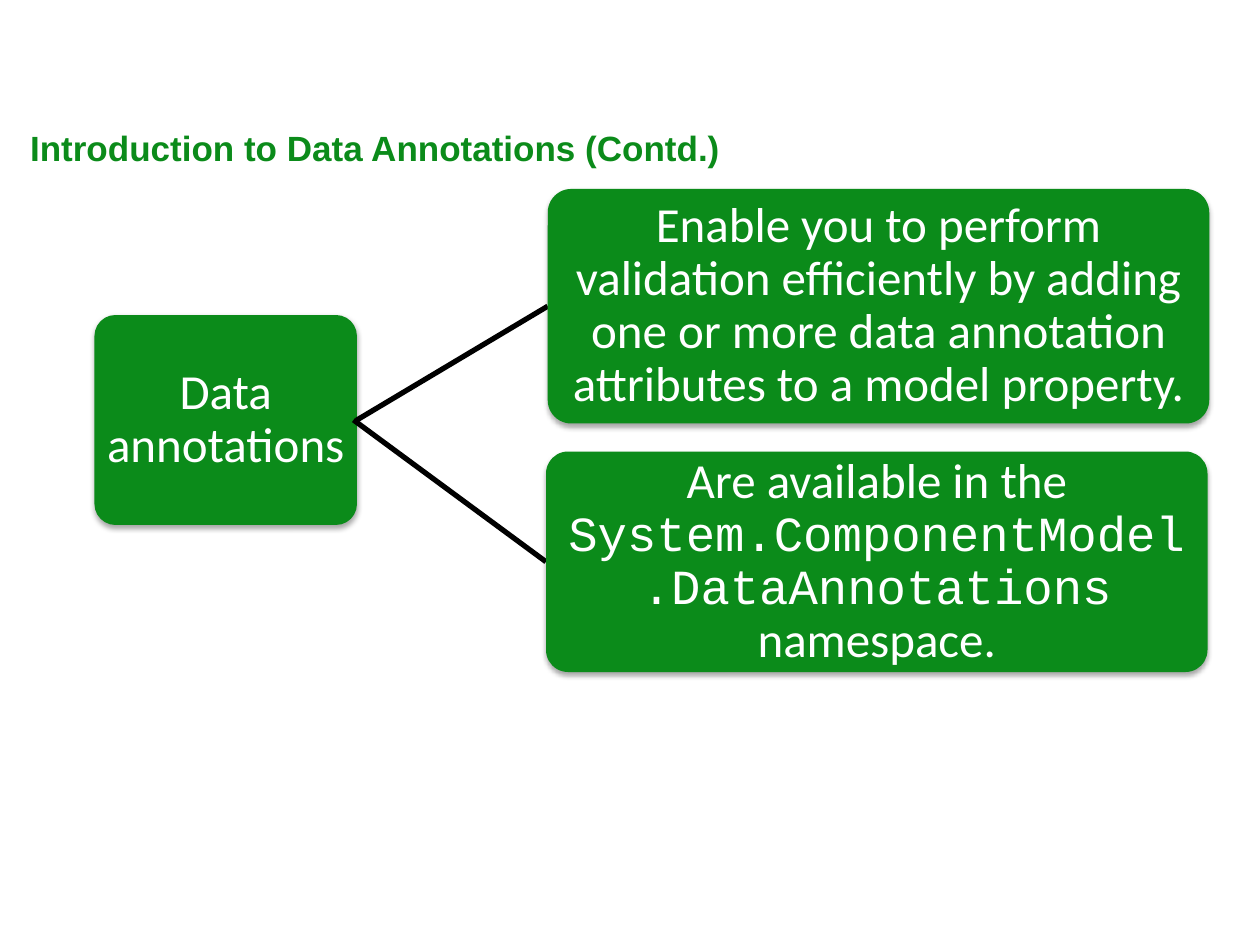
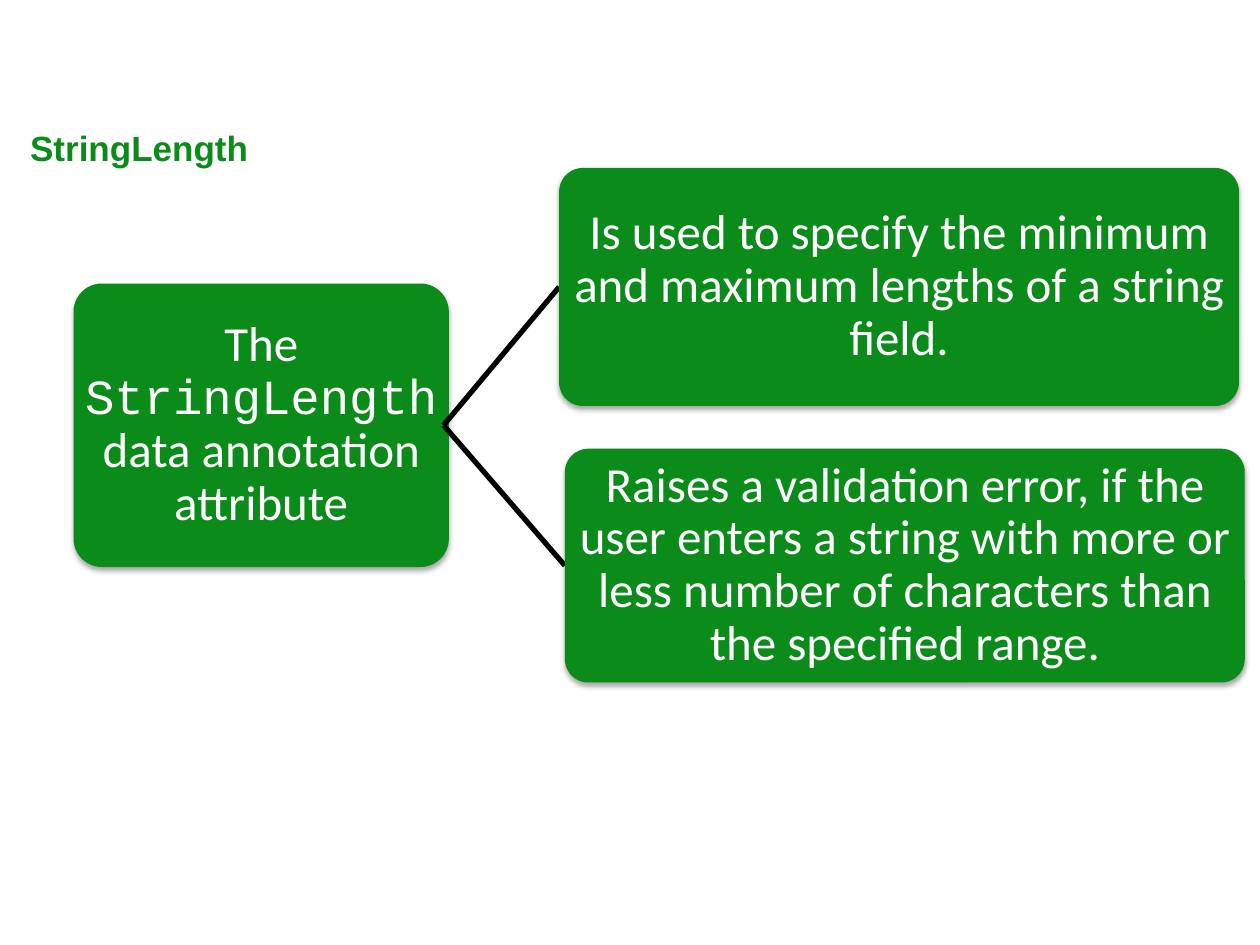
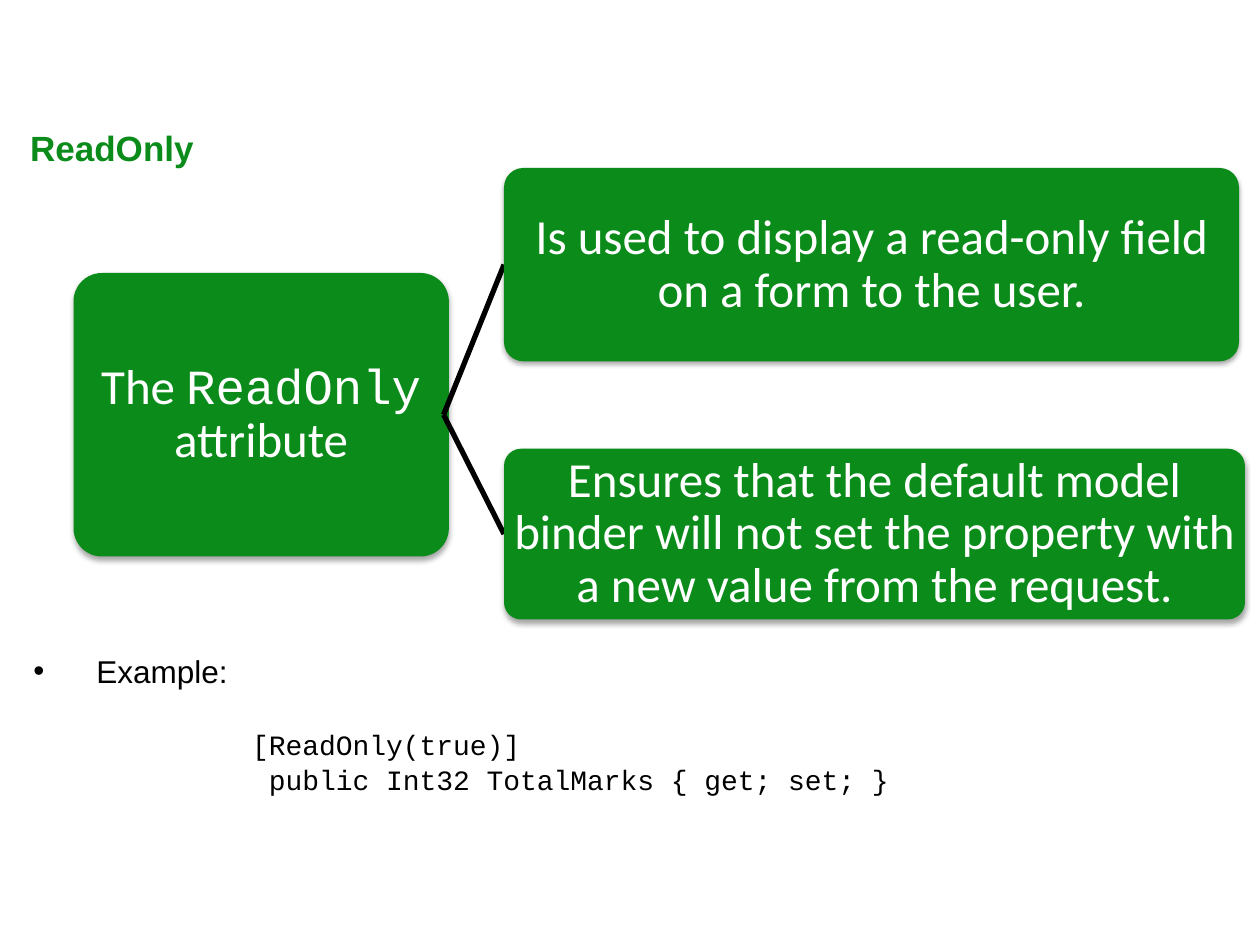
from dataclasses import dataclass

from lxml import etree
from pptx import Presentation
from pptx.dml.color import RGBColor
from pptx.enum.shapes import MSO_CONNECTOR, MSO_SHAPE
from pptx.enum.text import MSO_ANCHOR, MSO_AUTO_SIZE, PP_ALIGN
from pptx.oxml.ns import qn
from pptx.shapes.autoshape import Shape
from pptx.slide import Slide
from pptx.util import Pt

ROUNDED = MSO_SHAPE.ROUNDED_RECTANGLE
STRAIGHT = MSO_CONNECTOR.STRAIGHT
TOP, MIDDLE = MSO_ANCHOR.TOP, MSO_ANCHOR.MIDDLE
LEFT, CENTER = PP_ALIGN.LEFT, PP_ALIGN.CENTER
GROW = MSO_AUTO_SIZE.SHAPE_TO_FIT_TEXT

COLORS = {"green": "0B8B1A", "white": "FFFFFF", "black": "000000"}
HEADING_FONT, BODY_FONT, CODE_FONT = "Arial", "Calibri", "Courier New"
TITLE_ONLY = 5
SUBJECT_PADDING, BRANCH_PADDING = 0.7, 3


@dataclass(frozen=True)
class Words:
    text: str
    font: str = BODY_FONT


@dataclass(frozen=True)
class Card:
    left: float
    top: float
    width: float
    height: float
    words: tuple[Words, ...]
    overlap: float = 3

    @property
    def right(self) -> float:
        return self.left + self.width

    @property
    def middle(self) -> float:
        return self.top + self.height / 2


@dataclass(frozen=True)
class Topic:
    title: str
    title_width: float
    subject: Card
    branches: tuple[Card, ...]
    example: tuple[str, ...] = ()


TOPICS = (
    Topic(
        "Introduction to Data Annotations (Contd.)", 412,
        Card(54, 180, 150, 120, (Words("Data annotations"),)),
        (
            Card(313, 108, 378, 134, (Words(
                "Enable you to perform validation efficiently by adding one or "
                "more data annotation attributes to a model property."),), overlap=0),
            Card(312, 258, 378, 126, (
                Words("Are available in the "),
                Words("System.ComponentModel.DataAnnotations", CODE_FONT),
                Words(" namespace.")), overlap=2),
        ),
    ),
    Topic(
        "StringLength", 140.5,
        Card(42, 162, 214.5, 162, (
            Words("The "), Words("StringLength", CODE_FONT),
            Words(" data annotation attribute"))),
        (
            Card(319.5, 96, 388.5, 136, (Words(
                "Is used to specify the minimum and maximum lengths of a "
                "string field."),)),
            Card(322.8, 256.4, 388.5, 133.6, (Words(
                "Raises a validation error, if the user enters a string with more "
                "or less number of characters than the specified range."),)),
        ),
    ),
    Topic(
        "ReadOnly", 108.5,
        Card(42, 156, 214.5, 162, (
            Words("The "), Words("ReadOnly", CODE_FONT), Words(" attribute"))),
        (
            Card(288, 96, 420, 110.5, (Words(
                "Is used to display a read-only field on a form to the user."),)),
            Card(288, 256.4, 423.4, 97.6, (Words(
                "Ensures that the default model binder will not set the property "
                "with a new value from the request."),)),
        ),
        ("[ReadOnly(true)]", " public Int32 TotalMarks { get; set; }"),
    ),
)


def add_run(paragraph, words: Words, size: float, color: str, bold: bool = False) -> None:
    run = paragraph.add_run()
    run.text = words.text
    run.font.name = words.font
    run.font.size = Pt(size)
    run.font.bold = bold
    run.font.color.rgb = RGBColor.from_string(COLORS[color])


def add_shadow(card_shape: Shape) -> None:
    card_shape.shadow.inherit = False
    effects = card_shape._element.spPr.find(qn("a:effectLst"))
    shadow = etree.SubElement(
        effects, qn("a:outerShdw"), blurRad=str(Pt(3.1)), dist=str(Pt(1.8)),
        dir="5400000", rotWithShape="0")
    tint = etree.SubElement(shadow, qn("a:srgbClr"), val=COLORS["black"])
    etree.SubElement(tint, qn("a:alpha"), val="35000")


def add_title(slide: Slide, topic: Topic) -> None:
    title = slide.shapes.title
    title.left, title.top = Pt(10), Pt(68.4)
    title.width, title.height = Pt(topic.title_width), Pt(31.5)
    frame = title.text_frame
    frame.word_wrap = False
    frame.auto_size = GROW
    frame.vertical_anchor = TOP
    frame.paragraphs[0].alignment = LEFT
    add_run(frame.paragraphs[0], Words(topic.title, HEADING_FONT), 20, "green", True)


def add_card(slide: Slide, card: Card, padding: float) -> None:
    box = slide.shapes.add_shape(
        ROUNDED, Pt(card.left), Pt(card.top), Pt(card.width), Pt(card.height))
    box.adjustments[0] = 0.1
    box.fill.solid()
    box.fill.fore_color.rgb = RGBColor.from_string(COLORS["green"])
    box.line.fill.background()
    add_shadow(box)
    frame = box.text_frame
    frame.word_wrap = True
    frame.vertical_anchor = MIDDLE
    frame.margin_left = frame.margin_right = Pt(padding)
    frame.margin_top = frame.margin_bottom = Pt(1.5)
    sentence = frame.paragraphs[0]
    sentence.alignment = CENTER
    sentence.line_spacing = 0.9
    for words in card.words:
        add_run(sentence, words, 28, "white")


def add_link(slide: Slide, subject: Card, branch: Card) -> None:
    link = slide.shapes.add_connector(
        STRAIGHT, Pt(subject.right - branch.overlap), Pt(subject.middle),
        Pt(branch.left), Pt(branch.middle))
    link.line.width = Pt(3)
    link.line.color.rgb = RGBColor.from_string(COLORS["black"])
    etree.SubElement(link._element.spPr, qn("a:effectLst"))


def add_example(slide: Slide, code: tuple[str, ...]) -> None:
    example = slide.shapes.add_textbox(Pt(12), Pt(369), Pt(684), Pt(85))
    frame = example.text_frame
    frame.word_wrap = True
    heading = frame.paragraphs[0]
    properties = heading._p.get_or_add_pPr()
    properties.set("marL", str(Pt(36)))
    properties.set("indent", str(Pt(-36)))
    etree.SubElement(properties, qn("a:buFont"), typeface=HEADING_FONT)
    etree.SubElement(properties, qn("a:buChar"), char="•")
    add_run(heading, Words("Example:", HEADING_FONT), 18, "black")
    for index, code_line in enumerate(code):
        paragraph = frame.add_paragraph()
        paragraph._p.get_or_add_pPr().set("marL", str(Pt(125)))
        paragraph.space_before = Pt(0.8 if index else 21.6)
        add_run(paragraph, Words(code_line, CODE_FONT), 16, "black")


def add_topic(presentation, topic: Topic) -> None:
    slide = presentation.slides.add_slide(presentation.slide_layouts[TITLE_ONLY])
    add_title(slide, topic)
    add_card(slide, topic.subject, SUBJECT_PADDING)
    for branch in topic.branches:
        add_link(slide, topic.subject, branch)
        add_card(slide, branch, BRANCH_PADDING)
    if topic.example:
        add_example(slide, topic.example)


def main() -> None:
    presentation = Presentation()
    presentation.slide_width, presentation.slide_height = Pt(720), Pt(540)
    for topic in TOPICS:
        add_topic(presentation, topic)
    presentation.save("out.pptx")


if __name__ == "__main__":
    main()
